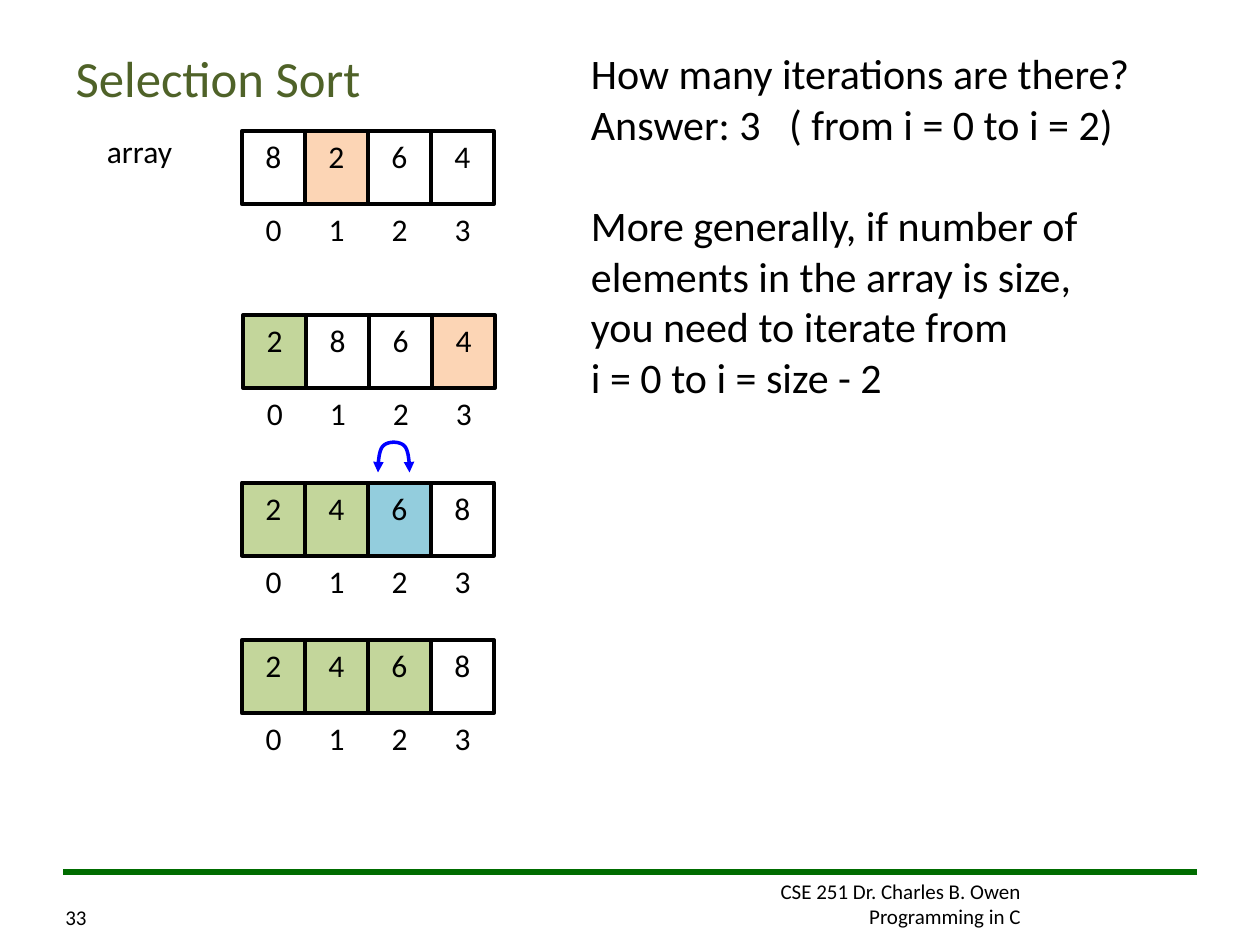
from dataclasses import dataclass

from lxml.etree import SubElement
from pptx import Presentation
from pptx.dml.color import RGBColor as Rgb
from pptx.enum.shapes import MSO_CONNECTOR as Link, MSO_SHAPE as Form
from pptx.enum.text import MSO_ANCHOR as Anchor, PP_ALIGN as Align
from pptx.oxml.ns import qn
from pptx.util import Inches, Pt


@dataclass(frozen=True)
class Theme:
    """Colours, font and type sizes of the slide."""
    font: str = "Calibri"
    ink: str = "000000"
    title: str = "4F6228"
    rule: str = "006C00"
    swap: str = "0000FF"
    done: str = "C3D69B"
    least: str = "FCD5B5"
    here: str = "93CDDD"
    head: int = 29
    body: int = 24
    label: int = 18
    foot: int = 12


LOOK = Theme()
CELL_W, CELL_H = 0.5, 0.58
TEXT_W, TEXT_H = 0.32, 0.4
STEPS = [
    (1.92, 1.04, "8264", (None, LOOK.least, None, None)),
    (1.93, 2.5, "2864", (LOOK.done, None, None, LOOK.least)),
    (1.92, 3.83, "2468", (LOOK.done, LOOK.done, LOOK.here, None)),
    (1.92, 5.08, "2468", (LOOK.done, LOOK.done, LOOK.done, None)),
]
NOTES = [
    ("How many iterations are there?", 0),
    ("Answer: 3   ( from i = 0 to i = 2)", 0),
    ("More generally, if number of", 29.3),
    ("elements in the array is size,", 0),
    ("you need to iterate from\vi = 0 to i = size - 2", 0),
]


def place(shape, left, top, width, height):
    """Move a shape to a box given in inches."""
    shape.left, shape.top = Inches(left), Inches(top)
    shape.width, shape.height = Inches(width), Inches(height)


def style(para, size, color=LOOK.ink, align=Align.LEFT):
    """Set the type and alignment of a paragraph."""
    para.alignment = align
    para.font.name = LOOK.font
    para.font.size = Pt(size)
    para.font.color.rgb = Rgb.from_string(color)


def stroke(line, color, width):
    """Give a line its colour and its width in points."""
    line.color.rgb = Rgb.from_string(color)
    line.width = Pt(width)


def add_text(slide, box, text, size, align=Align.LEFT, wrap=False):
    """Add a text box, one paragraph for each line."""
    frame = slide.shapes.add_textbox(*map(Inches, box)).text_frame
    frame.word_wrap = wrap
    frame.text = text
    for para in frame.paragraphs:
        style(para, size, align=align)
    return frame


def add_title(slide, box):
    """Fill the title placeholder."""
    title = slide.shapes.title
    place(title, *box)
    frame = title.text_frame
    frame.text = "Selection Sort"
    frame.vertical_anchor = Anchor.MIDDLE
    style(frame.paragraphs[0], LOOK.head, LOOK.title)


def add_notes(slide, box):
    """Fill the body placeholder with plain paragraphs."""
    body = slide.placeholders[1]
    place(body, *box)
    frame = body.text_frame
    frame.word_wrap = False
    frame.text = "\n".join(text for text, _ in NOTES)
    for para, (_, gap) in zip(frame.paragraphs, NOTES):
        props = para._p.get_or_add_pPr()
        props.set("marL", "0")
        props.set("indent", "0")
        SubElement(props, qn("a:buNone"))
        para.space_before = Pt(gap)
        style(para, LOOK.body)


def add_cell(slide, left, top, value, color):
    """Draw one array cell with its value."""
    cell = slide.shapes.add_shape(
        Form.RECTANGLE, *map(Inches, (left, top, CELL_W, CELL_H)))
    cell.shadow.inherit = False
    if color:
        cell.fill.solid()
        cell.fill.fore_color.rgb = Rgb.from_string(color)
    else:
        cell.fill.background()
    stroke(cell.line, LOOK.ink, 2.25)
    frame = cell.text_frame
    frame.vertical_anchor = Anchor.TOP
    frame.text = value
    style(frame.paragraphs[0], LOOK.label, align=Align.CENTER)


def add_array(slide, left, top, values, colors):
    """Draw a row of cells with the indexes below."""
    for i, (value, color) in enumerate(zip(values, colors)):
        x = left + i * CELL_W
        add_cell(slide, x, top, value, color)
        box = x + (CELL_W - TEXT_W) / 2, top + CELL_H, TEXT_W, TEXT_H
        add_text(slide, box, str(i), LOOK.label, Align.CENTER)


def curve(knots, steps=12):
    """List points along a cubic curve after its start."""
    for n in range(1, steps + 1):
        t = n / steps
        parts = (1 - t) ** 3, 3 * t * (1 - t) ** 2, 3 * t * t * (1 - t), t ** 3
        yield tuple(sum(w * k[axis] for w, k in zip(parts, knots))
                    for axis in (0, 1))


def add_swap(slide, left, top, size):
    """Draw the curved arrow with a head at both ends."""
    knots = [(0, 1), (0, 0.64), (0.04, 0.28), (0.16, 0.16), (0.32, 0),
             (0.68, 0), (0.84, 0.16), (0.96, 0.28), (1, 0.64), (1, 1)]
    knots = [(Inches(left + x * size), Inches(top + y * size))
             for x, y in knots]
    build = slide.shapes.build_freeform(*knots[0])
    for i in (0, 3, 6):
        build.add_line_segments(curve(knots[i:i + 4]), close=False)
    arrow = build.convert_to_shape()
    arrow.shadow.inherit = False
    arrow.fill.background()
    stroke(arrow.line, LOOK.swap, 2)
    for end in ("a:headEnd", "a:tailEnd"):
        SubElement(arrow.line._get_or_add_ln(), qn(end), type="triangle")


def add_foot(slide, left, top, width):
    """Draw the rule, the page number and the course name."""
    ends = map(Inches, (left + width, top, left, top))
    rule = slide.shapes.add_connector(Link.STRAIGHT, *ends)
    stroke(rule.line, LOOK.rule, 3)
    SubElement(rule._element.spPr, qn("a:effectLst"))
    page = add_text(slide, (left - 0.08, top, 0.4, 0.51), "33", LOOK.foot)
    page.vertical_anchor = Anchor.BOTTOM
    add_text(slide, (left + 4.33, top, 3.37, 0.5),
             "CSE 251 Dr. Charles B. Owen\nProgramming in C",
             LOOK.foot, Align.RIGHT, wrap=True)


def main():
    """Build the slide and save it."""
    deck = Presentation()
    deck.slide_width, deck.slide_height = Inches(10), Inches(7.5)
    slide = deck.slides.add_slide(deck.slide_layouts[1])
    add_foot(slide, 0.5, 6.92, 9)
    add_title(slide, (0.5, 0.3, 9, 0.62))
    add_text(slide, (0.75, 1, 0.72, TEXT_H), "array", LOOK.label)
    for step in STEPS:
        add_array(slide, *step)
    add_swap(slide, 3, 3.5, 0.25)
    add_notes(slide, (4.59, 0.33, 4.5, 2.9))
    deck.save("out.pptx")


if __name__ == "__main__":
    main()
